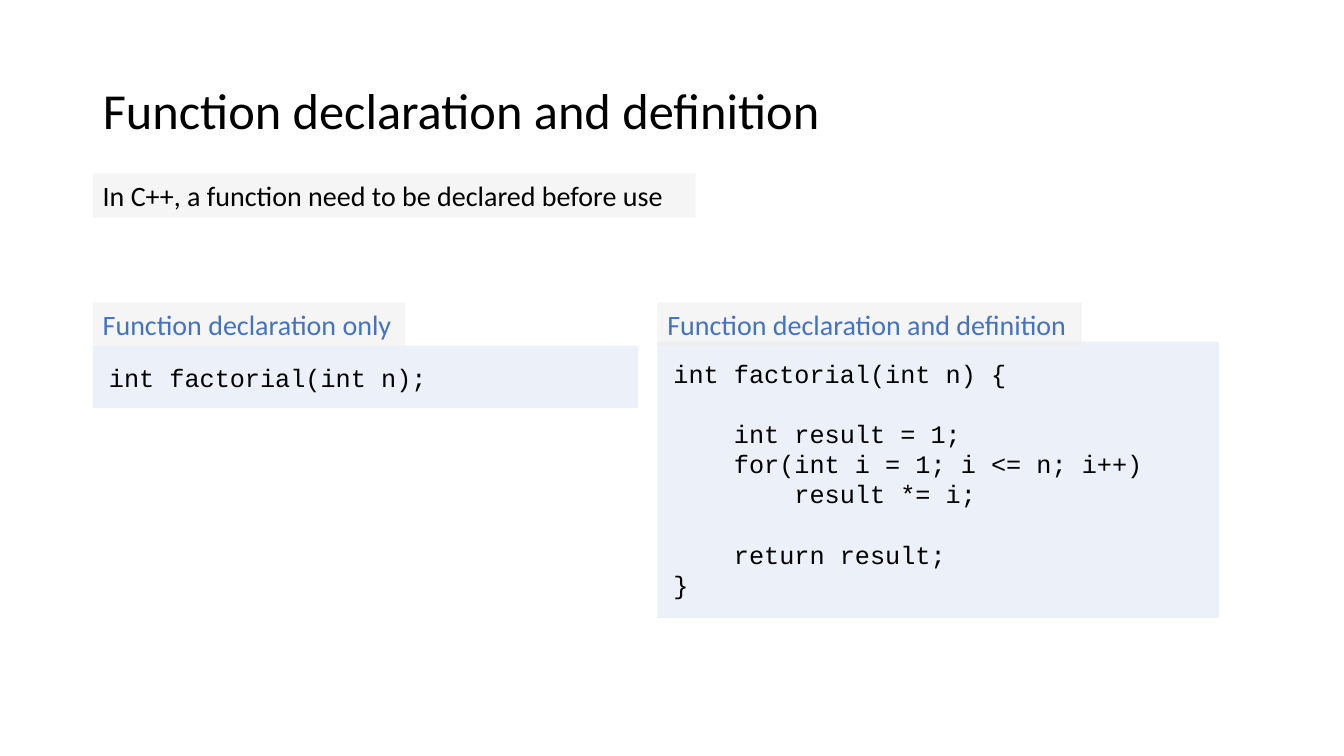
from lxml import etree
from pptx import Presentation
from pptx.dml.color import RGBColor
from pptx.enum.shapes import MSO_SHAPE as Shape
from pptx.enum.text import MSO_ANCHOR as Anchor, PP_ALIGN as Align
from pptx.oxml.ns import qn
from pptx.util import Inches, Pt


def paint(color_format, hex_color):
    color_format.rgb = RGBColor.from_string(hex_color)


def write(shape, lines, size, font, color, inset, anchor):
    frame = shape.text_frame
    settings = dict(word_wrap=True, vertical_anchor=anchor,
                    margin_left=Inches(inset), margin_right=Inches(inset))
    for name, value in settings.items():
        setattr(frame, name, value)
    frame.text = lines
    for paragraph in frame.paragraphs:
        paragraph.alignment = Align.LEFT
        for name, value in dict(size=Pt(size), name=font).items():
            setattr(paragraph.font, name, value)
        paint(paragraph.font.color, color)


DEFINITION = """int factorial(int n) {

    int result = 1;
    for(int i = 1; i <= n; i++)
        result *= i;

    return result;
}"""
DECLARATION = "int factorial(int n);"
LEFT, RIGHT = 0.92, 6.52
LABEL_TOP, LABEL_HEIGHT = 3, 0.44

# Formats of the two kinds of panel
CODE = dict(fill="DAE3F3", size=18, font="Courier New", inset=0.16, inset_y=0.16)
LABEL = dict(fill="EDEDED", size=20, font="Calibri", inset=0.1, inset_y=0.05)

deck = Presentation()
deck.slide_width, deck.slide_height = Inches(13.33), Inches(7.5)
slide = deck.slides.add_slide(deck.slide_layouts[5])

# Title
title = slide.shapes.title
for side, length in dict(left=LEFT, top=0.4, width=11.5, height=1.45).items():
    setattr(title, side, Inches(length))
write(title, "Function declaration and definition", 36, "Calibri", "000000",
      0.1, Anchor.MIDDLE)
title.text_frame.paragraphs[0].line_spacing = 0.9

# Code panels, their labels and the opening statement
panels = [
    (DEFINITION, CODE, "000000", RIGHT, 3.39, 5.57, 2.74),
    (DECLARATION, CODE, "000000", LEFT, 3.43, 5.41, 0.62),
    ("Function declaration only", LABEL, "4472C4",
     LEFT, LABEL_TOP, 3.1, LABEL_HEIGHT),
    ("Function declaration and definition", LABEL, "4472C4",
     RIGHT, LABEL_TOP, 4.21, LABEL_HEIGHT),
    ("In C++, a function need to be declared before use", LABEL, "000000",
     LEFT, 1.72, 5.98, LABEL_HEIGHT),
]
for text, style, color, *bounds in panels:
    panel = slide.shapes.add_shape(Shape.RECTANGLE, *map(Inches, bounds))
    panel.shadow.inherit = False
    panel.line.fill.background()
    panel.fill.solid()
    paint(panel.fill.fore_color, style["fill"])
    # Half-transparent fill
    tint = panel.fill._xPr.find(qn("a:solidFill"))[0]
    etree.SubElement(tint, qn("a:alpha"), val="50000")
    write(panel, text, style["size"], style["font"], color,
          style["inset"], Anchor.TOP)
    panel.text_frame.margin_top = Inches(style["inset_y"])
    panel.text_frame.margin_bottom = Inches(style["inset_y"])

deck.save("out.pptx")
